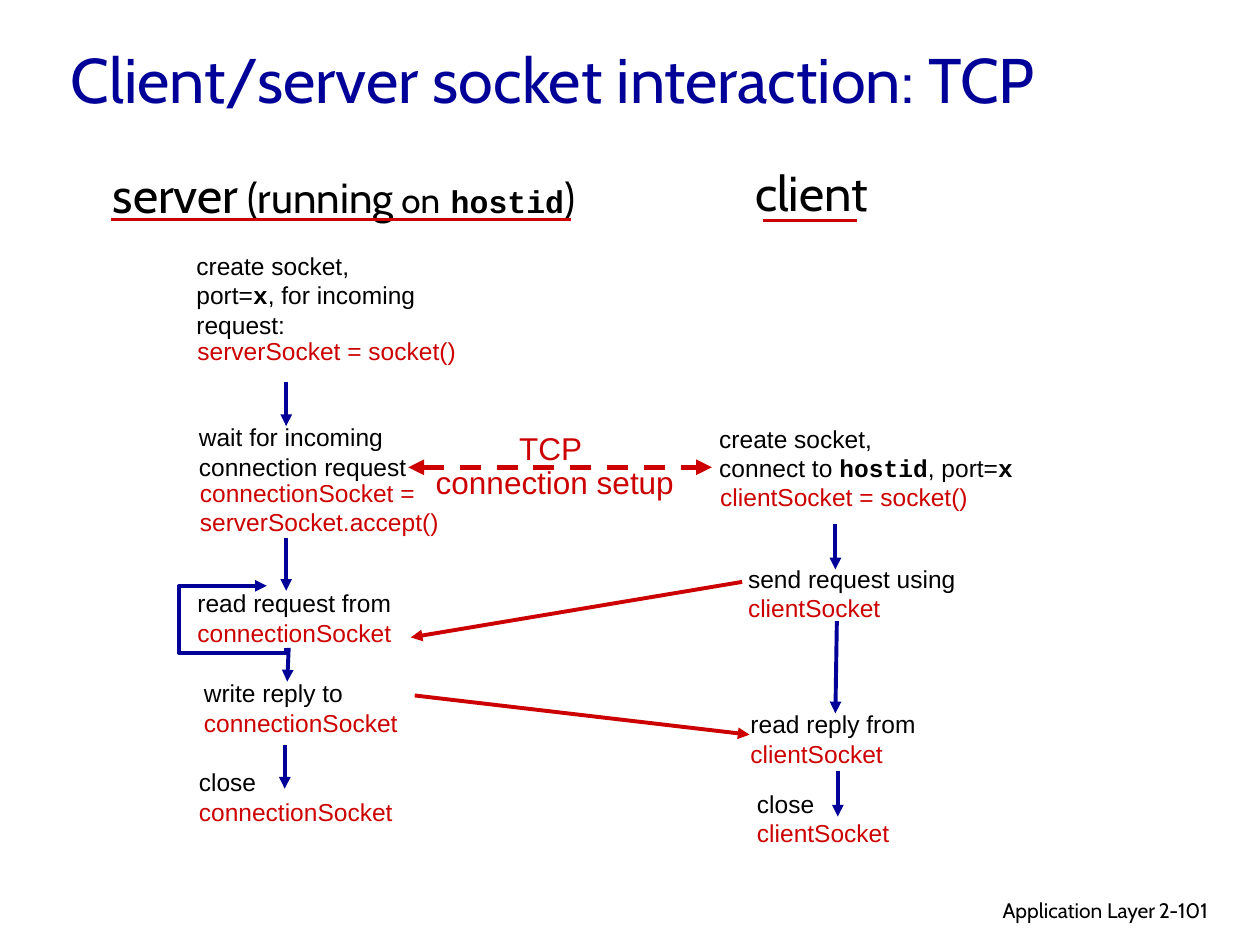
from lxml import etree
from pptx import Presentation
from pptx.dml.color import RGBColor
from pptx.enum.dml import MSO_LINE
from pptx.enum.shapes import MSO_CONNECTOR
from pptx.enum.text import MSO_ANCHOR, PP_ALIGN
from pptx.oxml.ns import qn
from pptx.util import Cm, Pt

STRAIGHT = MSO_CONNECTOR.STRAIGHT
DASH = MSO_LINE.DASH
MIDDLE = MSO_ANCHOR.MIDDLE
LEFT, CENTER, RIGHT = PP_ALIGN.LEFT, PP_ALIGN.CENTER, PP_ALIGN.RIGHT
BLACK, RED, BLUE = "000000", "CC0000", "000099"
HEADING, BODY, CODE = "Cabin", "Arial", "Courier New"

prs = Presentation()
prs.slide_width, prs.slide_height = Cm(25.4), Cm(19.05)
slide = prs.slides.add_slide(prs.slide_layouts[5])


def write(frame, paragraphs, align=LEFT):
    """Fill a text frame; each paragraph is a list of (text, size, font, colour) runs."""
    for index, parts in enumerate(paragraphs):
        paragraph = frame.add_paragraph() if index else frame.paragraphs[0]
        paragraph.alignment = align
        for text, size, font, colour in parts:
            run = paragraph.add_run()
            run.text = text
            run.font.size = Pt(size)
            run.font.name = font
            run.font.bold = font == CODE
            run.font.color.rgb = RGBColor.from_string(colour)


def style_line(line, colour, width, ends=()):
    """Set colour and width, and put a triangle on each named end."""
    line.color.rgb = RGBColor.from_string(colour)
    line.width = Pt(width)
    for end in ends:
        etree.SubElement(line._ln, qn(f"a:{end}"), type="triangle")


title = slide.shapes.title
title.left, title.top, title.width, title.height = Cm(1.17), Cm(0.25), Cm(21.59), Cm(2.64)
title.text_frame.vertical_anchor = MIDDLE
write(title.text_frame, [[("Client/server socket interaction: TCP", 36, HEADING, BLUE)]])

# Footer
for left, width, text, align in [(15.49, 8.05, "Application Layer", RIGHT),
                                 (23.11, 1.88, "2-101", LEFT)]:
    footer = slide.shapes.add_textbox(Cm(left), Cm(17.96), Cm(width), Cm(0.78))
    footer.text_frame.word_wrap = True
    write(footer.text_frame, [[(text, 12, HEADING, BLACK)]], align)

# Column headings with their underlines
server_heading = [("server", 28, HEADING, BLACK), (" (running", 24, HEADING, BLACK),
                  (" on", 20, HEADING, BLACK), (" ", 18, "Comic Neue", BLACK),
                  ("hostid", 18, CODE, BLACK), (")", 24, HEADING, BLACK)]
client_heading = [("client", 28, HEADING, BLACK)]
for left, top, width, space, parts, start, end, y in [
    (1.5, 3.18, 10.87, 15, server_heading, 2.24, 11.51, 4.42),
    (14.86, 3.15, 3, 17.5, client_heading, 15.39, 17.27, 4.45),
]:
    heading = slide.shapes.add_textbox(Cm(left), Cm(top), Cm(width), Cm(1.45))
    heading.text_frame.word_wrap = False
    heading.text_frame.vertical_anchor = MIDDLE
    write(heading.text_frame, [parts], CENTER)
    heading.text_frame.paragraphs[0].space_before = Pt(space)
    underline = slide.shapes.add_connector(STRAIGHT, Cm(start), Cm(y), Cm(end), Cm(y))
    style_line(underline.line, RED, 1.5)
    etree.SubElement(underline._element.spPr, qn("a:effectLst"))

# Steps: left, top, width, height, wrap, lines; a line is (colour, text),
# where text between backticks is set as code
steps = [
    (3.71, 4.93, 5.36, 2.03, True, [(BLACK, "create socket,"),
                                    (BLACK, "port=`x`, for incoming request:")]),
    (3.73, 6.65, 6.53, 0.86, True, [(RED, "serverSocket = socket()")]),
    (3.76, 8.38, 4.8, 1.45, False, [(BLACK, "wait for incoming"),
                                    (BLACK, "connection request")]),
    (3.78, 9.5, 5.6, 1.45, False, [(RED, "connectionSocket ="),
                                   (RED, "serverSocket.accept()")]),
    (14.25, 8.41, 6.6, 1.45, False, [(BLACK, "create socket,"),
                                     (BLACK, "connect to `hostid`, port=`x`")]),
    (14.27, 9.58, 6.55, 0.86, True, [(RED, "clientSocket = socket()")]),
]
for left, top, width, action, socket in [
    (3.73, 11.73, 4.6, "read request from", "connectionSocket"),
    (3.86, 13.54, 4.6, "write reply to", "connectionSocket"),
    (3.76, 15.34, 4.6, "close", "connectionSocket"),
    (14.83, 11.23, 4.9, "send request using", "clientSocket"),
    (14.88, 14.17, 4, "read reply from", "clientSocket"),
    (15.01, 15.77, 3.3, "close", "clientSocket"),
]:
    steps.append((left, top, width, 1.45, False, [(BLACK, action), (RED, socket)]))

for left, top, width, height, wrap, lines in steps:
    step = slide.shapes.add_textbox(Cm(left), Cm(top), Cm(width), Cm(height))
    step.text_frame.word_wrap = wrap
    step.text_frame.vertical_anchor = MIDDLE
    write(step.text_frame, [
        [(part, 14, CODE if index % 2 else BODY, colour)
         for index, part in enumerate(text.split("`")) if part]
        for colour, text in lines])

# Flow down each column (blue) and messages between the columns (red)
for colour, x1, y1, x2, y2 in [
    (BLUE, 5.77, 7.7, 5.77, 8.59),
    (BLUE, 5.77, 10.85, 5.77, 11.91),
    (BLUE, 5.82, 13.06, 5.79, 13.74),
    (BLUE, 5.74, 15.01, 5.74, 15.9),
    (BLUE, 16.84, 10.57, 16.84, 11.48),
    (BLUE, 16.87, 12.52, 16.84, 14.38),
    (BLUE, 16.89, 15.54, 16.89, 16.46),
    (RED, 14.96, 11.73, 8.28, 12.85),
    (RED, 8.36, 14.02, 15.11, 14.81),
]:
    arrow = slide.shapes.add_connector(STRAIGHT, Cm(x1), Cm(y1), Cm(x2), Cm(y2))
    style_line(arrow.line, colour, 2.25, ["tailEnd"])
    etree.SubElement(arrow._element.spPr, qn("a:effectLst"))

# Connection setup between server and client
handshake = slide.shapes.add_connector(STRAIGHT, Cm(8.23), Cm(9.42), Cm(14.35), Cm(9.42))
handshake.line.dash_style = DASH
style_line(handshake.line, RED, 3, ["headEnd", "tailEnd"])
etree.SubElement(handshake._element.spPr, qn("a:effectLst"))

setup = slide.shapes.add_textbox(Cm(8.53), Cm(8.61), Cm(5.31), Cm(1.63))
setup.text_frame.word_wrap = False
setup.text_frame.vertical_anchor = MIDDLE
write(setup.text_frame, [[("TCP ", 18, BODY, RED)], [("connection setup", 18, BODY, RED)]], CENTER)
for paragraph in setup.text_frame.paragraphs:
    paragraph.line_spacing = 0.9

# Loop back to reading the next request
builder = slide.shapes.build_freeform(Cm(5.77), Cm(13.06))
builder.add_line_segments([(Cm(x), Cm(y)) for x, y in [
    (5.77, 13.16), (3.61, 13.16), (3.61, 11.81), (5.38, 11.81)]], close=False)
read_loop = builder.convert_to_shape()
read_loop.fill.background()
read_loop.shadow.inherit = False
style_line(read_loop.line, BLUE, 2.25, ["tailEnd"])

prs.save("out.pptx")
